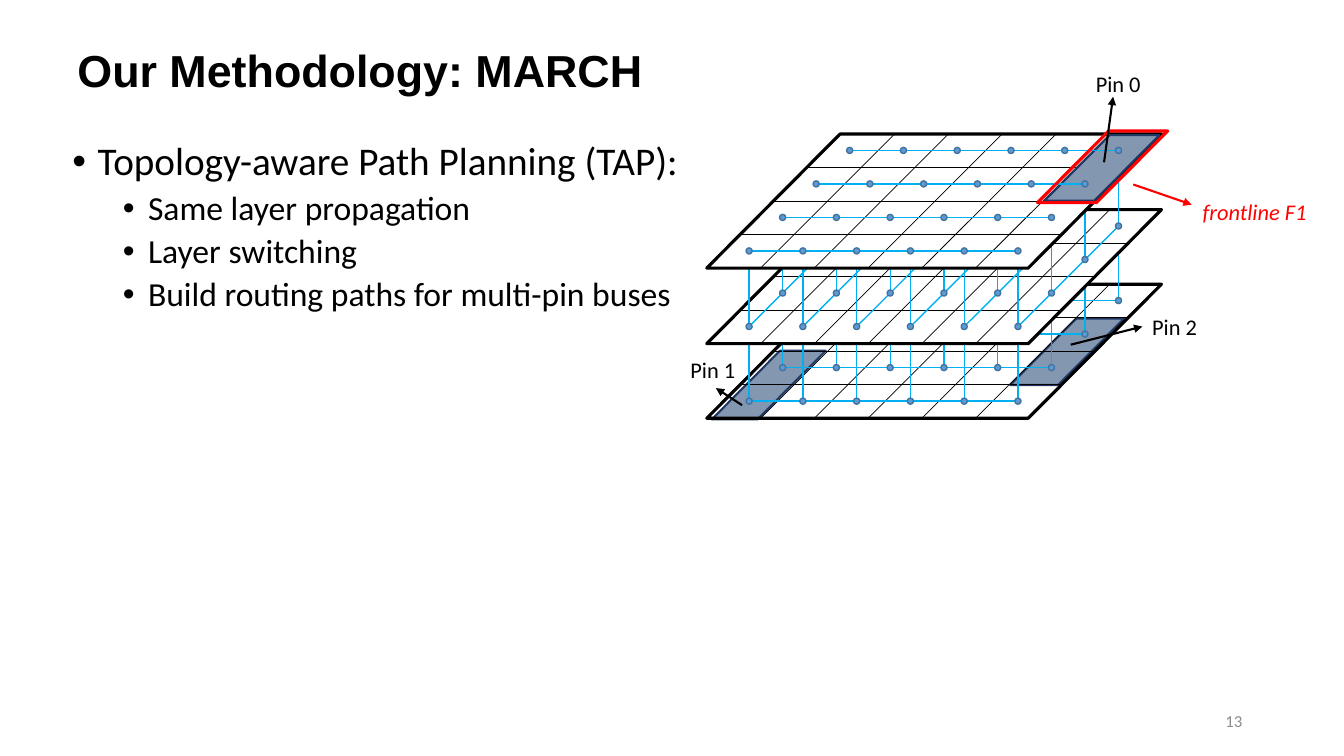
"""Build the bus routing slide with three stacked grid layers."""
from lxml import etree
from pptx import Presentation
from pptx.dml.color import RGBColor
from pptx.enum.shapes import MSO_CONNECTOR, MSO_SHAPE
from pptx.enum.text import MSO_ANCHOR, PP_ALIGN
from pptx.oxml.ns import qn
from pptx.util import Inches, Pt

STRAIGHT = MSO_CONNECTOR.STRAIGHT
PARALLELOGRAM = MSO_SHAPE.PARALLELOGRAM
NODE = MSO_SHAPE.FLOWCHART_CONNECTOR
MIDDLE, TOP = MSO_ANCHOR.MIDDLE, MSO_ANCHOR.TOP
LEFT, RIGHT = PP_ALIGN.LEFT, PP_ALIGN.RIGHT

COLORS = {
    "black": "000000", "white": "FFFFFF", "red": "FF0000", "gray": "8C8C8C",
    "route": "00B0F0", "node": "5B9BD5", "node_edge": "43739E",
    "pin": "8497B0", "pin_edge": "203864",
}

prs = Presentation()
prs.slide_width, prs.slide_height = Inches(13.33), Inches(7.5)
s = prs.slides.add_slide(prs.slide_layouts[6])


def add_line(x1, y1, x2, y2, color, width, arrow=False):
    """Draw a straight line, with an arrowhead at its end if asked."""
    ln = s.shapes.add_connector(STRAIGHT, Inches(x1), Inches(y1), Inches(x2), Inches(y2))
    ln.line.color.rgb = RGBColor.from_string(COLORS[color])
    ln.line.width = Pt(width)
    if arrow:
        etree.SubElement(ln.line._get_or_add_ln(), qn("a:tailEnd"), type="triangle")
    etree.SubElement(ln._element.spPr, qn("a:effectLst"))


def add_shape(kind, x, y, w, h, fill, edge, width):
    """Draw a flat shape; parallelograms get the common slant."""
    sp = s.shapes.add_shape(kind, Inches(x), Inches(y), Inches(w), Inches(h))
    sp.shadow.inherit = False
    if kind == PARALLELOGRAM:
        sp.adjustments[0] = 0.994
    if fill:
        sp.fill.solid()
        sp.fill.fore_color.rgb = RGBColor.from_string(COLORS[fill])
    else:
        sp.fill.background()
    sp.line.color.rgb = RGBColor.from_string(COLORS[edge])
    sp.line.width = Pt(width)


LAYER_X, LAYER_W, LAYER_H = 7.01, 4.51, 1.33
COLS, ROWS = 6, 4
COL_STEP, ROW_STEP = 3.2 / COLS, LAYER_H / ROWS
NODE_X, NODE_DY, NODE_SIZE = 7.43, 1.16, 0.06
LAYER_GAP = 0.74

layers = [
    ("bottom", 2.82, [(10.02, 3.16, 1.13, 0.66), (7.06, 3.48, 1.13, 0.68)]),
    ("middle", 2.08, []),
    ("top", 1.33, [(10.36, 1.34, 1.14, 0.65)]),
]
for name, top, pins in layers:
    if name == "bottom":
        for pin in pins:
            add_shape(PARALLELOGRAM, *pin, "pin", "pin_edge", 1.5)
    add_shape(PARALLELOGRAM, LAYER_X, top, LAYER_W, LAYER_H,
              None if name == "bottom" else "white", "black", 2.25)
    for row in range(1, ROWS):
        x, y = LAYER_X + row * ROW_STEP, top + LAYER_H - row * ROW_STEP
        add_line(x, y, x + 3.2, y, "black", 0.5)
    for col in range(1, COLS):
        x = LAYER_X + col * COL_STEP
        add_line(x + LAYER_H, top, x, top + LAYER_H, "black", 0.5)
    if name == "top":
        for pin in pins:
            add_shape(PARALLELOGRAM, *pin, "pin", "pin_edge", 1.5)

    nodes = [(NODE_X + row * ROW_STEP + col * COL_STEP, top + NODE_DY - row * ROW_STEP)
             for row in range(ROWS) for col in range(COLS)
             if name == "top" or row < 2 or col == COLS - 1]
    if name == "middle":
        for col in range(COLS):
            x, y = NODE_X + col * COL_STEP, top + NODE_DY
            rise = 3 * ROW_STEP if col == COLS - 1 else NODE_DY
            add_line(x + rise, y - rise, x, y, "route", 1)
    else:
        for row in range(ROWS):
            x, y = NODE_X + row * ROW_STEP, top + NODE_DY - row * ROW_STEP
            add_line(x, y, x + (COLS - 1) * COL_STEP, y, "route", 1)
    if name != "top":
        for x, y in nodes:
            add_line(x, y - LAYER_GAP, x, y, "route", 1)
    for x, y in nodes:
        add_shape(NODE, x - NODE_SIZE / 2, y - NODE_SIZE / 2, NODE_SIZE, NODE_SIZE,
                  "node", "node_edge", 1)

add_shape(PARALLELOGRAM, 10.29, 1.3, 1.29, 0.71, None, "red", 2.25)

arrows = [
    (10.95, 1.61, 11.04, 0.96, "black"),
    (7.36, 4.02, 7.1, 3.85, "black"),
    (10.62, 3.42, 11.33, 3.24, "black"),
    (11.24, 1.83, 11.82, 2.03, "red"),
]
for *ends, color in arrows:
    add_line(*ends, color, 1.5, arrow=True)

texts = [
    ("Our Methodology: MARCH", (0.67, 0.07, 7.47, 1.25), 32, "Arial", "black", MIDDLE, LEFT),
    ("13", (9.42, 6.95, 3, 0.4), 12, "Calibri", "gray", MIDDLE, RIGHT),
    ("Pin 0", (10.77, 0.65, 0.7, 0.37), 16, "Calibri", "black", TOP, LEFT),
    ("Pin 1", (6.75, 3.48, 0.7, 0.37), 16, "Calibri", "black", TOP, LEFT),
    ("Pin 2", (11.33, 3.06, 0.7, 0.37), 16, "Calibri", "black", TOP, LEFT),
    ("frontline F1", (11.83, 1.92, 1.28, 0.37), 16, "Calibri", "red", TOP, LEFT),
]
for text, box, size, font, color, anchor, align in texts:
    tf = s.shapes.add_textbox(*map(Inches, box)).text_frame
    tf.word_wrap = True
    tf.vertical_anchor = anchor
    p = tf.paragraphs[0]
    p.alignment = align
    r = p.add_run()
    r.text = text
    r.font.size, r.font.name = Pt(size), font
    r.font.bold = font == "Arial"
    r.font.italic = color == "red"
    r.font.color.rgb = RGBColor.from_string(COLORS[color])

bullets = [
    ("Topology-aware Path Planning (TAP):", 0),
    ("Same layer propagation", 1),
    ("Layer switching", 1),
    ("Build routing paths for multi-pin buses", 1),
]
tf = s.shapes.add_textbox(Inches(0.62), Inches(1.36), Inches(6.42), Inches(5.74)).text_frame
tf.word_wrap = True
for i, (text, level) in enumerate(bullets):
    p = tf.add_paragraph() if i else tf.paragraphs[0]
    p.level = level
    p.line_spacing = 0.9
    p.space_before = Pt(5 if level else 10)
    pPr = p._p.get_or_add_pPr()
    pPr.set("marL", str(Inches(0.75 if level else 0.25)))
    pPr.set("indent", str(Inches(-0.25)))
    etree.SubElement(pPr, qn("a:buFont"), typeface="Arial")
    etree.SubElement(pPr, qn("a:buChar"), char="•")
    r = p.add_run()
    r.text = text
    r.font.size, r.font.name = Pt(24 if level else 28), "Calibri"
    r.font.color.rgb = RGBColor.from_string(COLORS["black"])

prs.save("out.pptx")
